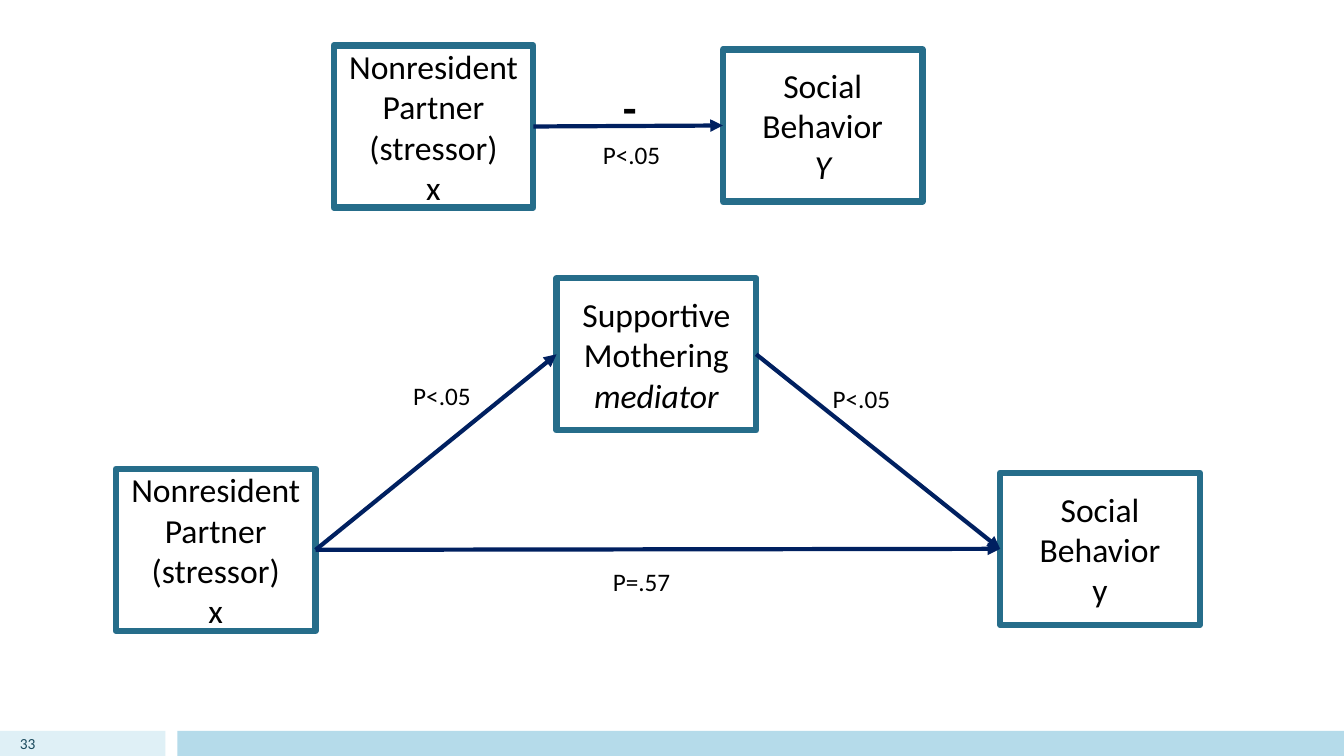
from pptx import Presentation
from pptx.dml.color import RGBColor
from pptx.enum.shapes import MSO_CONNECTOR as Connector, MSO_SHAPE as Shape
from pptx.enum.text import MSO_ANCHOR as Anchor, PP_ALIGN as Align
from pptx.oxml.ns import qn
from pptx.util import Pt
from lxml.etree import SubElement

PX = 9144
THEME = {
    "font": "Calibri",
    "text": RGBColor.from_string("000000"),
    "number": RGBColor.from_string("1A4A5D"),
    "border": RGBColor.from_string("266D8A"),
    "arrow": RGBColor.from_string("002060"),
    "bar_light": RGBColor.from_string("DFF0F6"),
    "bar_dark": RGBColor.from_string("B5DBEA"),
    "box_size": Pt(24),
    "label_size": Pt(18),
    "sign_size": Pt(32),
    "number_size": Pt(11),
    "border_width": Pt(4.5),
    "arrow_width": Pt(3),
}
LEFT, TOP_SIDE, RIGHT = 1, 0, 3


def add_rectangle(left, top, width, height):
    shape = slide.shapes.add_shape(
        Shape.RECTANGLE, left * PX, top * PX, width * PX, height * PX)
    shape.shadow.inherit = False
    return shape


def write_line(paragraph, text, size, color="text", align=Align.LEFT):
    paragraph.text = text
    paragraph.alignment = align
    paragraph.font.name = THEME["font"]
    paragraph.font.size = THEME[size]
    paragraph.font.color.rgb = THEME[color]


presentation = Presentation()
presentation.slide_width = 1333 * PX
presentation.slide_height = 750 * PX
slide = presentation.slides.add_slide(presentation.slide_layouts[6])

for left, width, color in [(0, 164, "bar_light"), (176, 1157, "bar_dark")]:
    bar = add_rectangle(left, 725, width, 25)
    bar.fill.solid()
    bar.fill.fore_color.rgb = THEME[color]
    bar.line.fill.background()

BOX_WIDTH = 198
stressor = ["Nonresident Partner", "(stressor)", "x"]
boxes = {}
for name, left, top, height, lines in [
    ("direct stressor", 331, 45, 161, stressor),
    ("direct behavior", 717, 49, 151, ["Social Behavior", "Y"]),
    ("stressor", 115, 465, 161, stressor),
    ("mediator", 552, 276, 151, ["Supportive Mothering", "mediator"]),
    ("behavior", 992, 469, 151, ["Social Behavior", "y"]),
]:
    box = add_rectangle(left, top, BOX_WIDTH, height)
    box.fill.background()
    box.line.color.rgb = THEME["border"]
    box.line.width = THEME["border_width"]
    frame = box.text_frame
    frame.vertical_anchor = Anchor.MIDDLE
    for index, line in enumerate(lines):
        paragraph = frame.add_paragraph() if index else frame.paragraphs[0]
        write_line(paragraph, line, "box_size", align=Align.CENTER)
        if line in ("Y", "mediator"):
            paragraph.font.italic = True
    boxes[name] = box

for start, end in [
    ("direct stressor", "direct behavior"),
    ("stressor", "mediator"),
    ("mediator", "behavior"),
    ("stressor", "behavior"),
]:
    arrow = slide.shapes.add_connector(Connector.STRAIGHT, 0, 0, 0, 0)
    arrow.begin_connect(boxes[start], RIGHT)
    arrow.end_connect(boxes[end], LEFT)
    arrow.line.color.rgb = THEME["arrow"]
    arrow.line.width = THEME["arrow_width"]
    SubElement(arrow.line._get_or_add_ln(), qn("a:tailEnd"), type="triangle")
    SubElement(arrow._element.spPr, qn("a:effectLst"))

for text, left, top, width, height, size in [
    ("-", 608, 74, 57, 64, "sign_size"),
    ("P<.05", 588, 133, 79, 40, "label_size"),
    ("P=.57", 598, 557, 77, 40, "label_size"),
    ("P<.05", 816, 375, 79, 40, "label_size"),
    ("P<.05", 400, 372, 79, 40, "label_size"),
    ("33", 0, 725, 45, 25, "number_size"),
]:
    label = slide.shapes.add_textbox(left * PX, top * PX, width * PX, height * PX)
    frame = label.text_frame
    frame.word_wrap = size != "label_size"
    paragraph = frame.paragraphs[0]
    if size == "number_size":
        frame.vertical_anchor = Anchor.MIDDLE
        write_line(paragraph, text, size, "number", Align.RIGHT)
    else:
        write_line(paragraph, text, size)
        paragraph.font.bold = size == "sign_size"

presentation.save("out.pptx")
